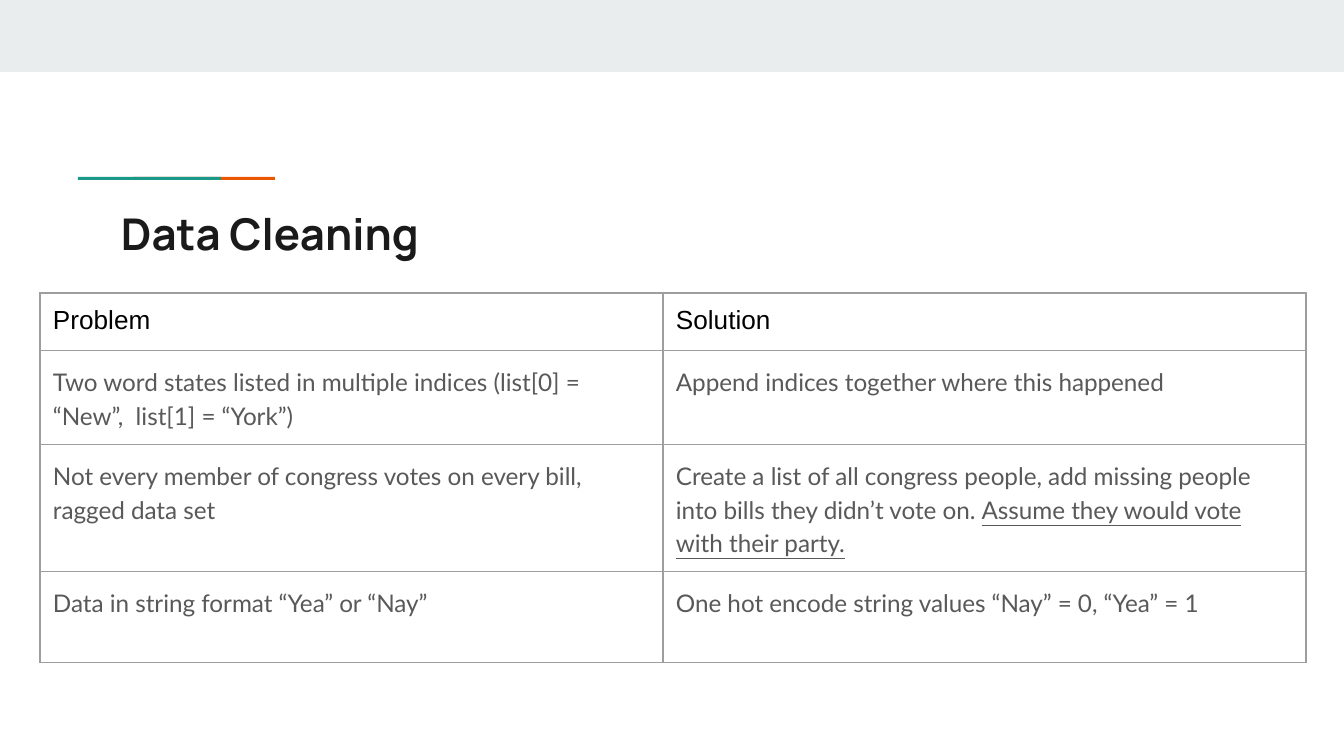
from lxml import etree
from pptx import Presentation
from pptx.dml.color import RGBColor
from pptx.enum.shapes import MSO_SHAPE
from pptx.enum.text import MSO_ANCHOR
from pptx.oxml.ns import qn
from pptx.util import Emu, Pt

INK = RGBColor(0x1A, 0x1A, 0x1A)
BLACK = RGBColor(0x00, 0x00, 0x00)
GRAY = RGBColor(0x59, 0x59, 0x59)
BORDER = RGBColor(0x9E, 0x9E, 0x9E)
BAND = RGBColor(0xE9, 0xED, 0xEE)
TEAL = RGBColor(0x1A, 0x99, 0x88)
ORANGE = RGBColor(0xEB, 0x56, 0x00)

W, H = 1344, 756
INSET = 13
TITLE = "Data Cleaning"
TITLE_BOX = (108, 194, 1130, 79)
# Back to front: the teal bar overlaps the orange one.
BARS = [
    ((0, 0, W, 72), BAND),
    ((133, 177, 142, 3), ORANGE),
    ((78, 177, 143, 3), TEAL),
]

# Each cell is a list of (text, underlined) runs.
HEADER = [[("Problem", False)], [("Solution", False)]]
BODY = [
    [[("Two word states listed in multiple indices (list[0] = “New”,  list[1] = “York”)", False)],
     [("Append indices together where this happened", False)]],
    [[("Not every member of congress votes on every bill, ragged data set", False)],
     [("Create a list of all congress people, add missing people into bills they didn’t vote on. ", False),
      ("Assume they would vote with their party.", True)]],
    [[("Data in string format “Yea” or “Nay”", False)],
     [("One hot encode string values “Nay” = 0, “Yea” = 1", False)]],
]
TABLE_LEFT, TABLE_TOP = 40, 293
COL_WIDTHS = [623, 643]
ROW_HEIGHTS = [56, 94, 127, 91]


def px(n):
    return Emu(round(n * 914400 / 134.4))


def add_run(p, text, font, size, color, bold=False, underline=False):
    r = p.add_run()
    r.text = text
    f = r.font
    f.name, f.size, f.bold = font, Pt(size), bold
    f.color.rgb = color
    if underline:
        f.underline = True


def add_bar(slide, box, color):
    sp = slide.shapes.add_shape(MSO_SHAPE.RECTANGLE, *map(px, box))
    sp.shadow.inherit = False
    sp.fill.solid()
    sp.fill.fore_color.rgb = color
    sp.line.fill.background()


def add_title(slide):
    tf = slide.shapes.add_textbox(*map(px, TITLE_BOX)).text_frame
    tf.word_wrap = True
    tf.vertical_anchor = MSO_ANCHOR.TOP
    tf.margin_left = tf.margin_right = tf.margin_top = tf.margin_bottom = px(INSET)
    add_run(tf.paragraphs[0], TITLE, "Manrope", 23.4, INK, bold=True)


def set_borders(cell):
    tc_pr = cell._tc.get_or_add_tcPr()
    for side in ("lnL", "lnR", "lnT", "lnB"):
        ln = etree.SubElement(tc_pr, qn(f"a:{side}"), w=str(Pt(0.75)))
        fill = etree.SubElement(ln, qn("a:solidFill"))
        etree.SubElement(fill, qn("a:srgbClr"), val=str(BORDER))


def fill_cell(cell, runs, is_header):
    set_borders(cell)
    cell.fill.background()
    cell.margin_left = cell.margin_right = cell.margin_top = cell.margin_bottom = px(INSET)
    p = cell.text_frame.paragraphs[0]
    if not is_header:
        p.line_spacing = 1.15
        p.space_after = Pt(12)
    style = ("Arial", 14, BLACK) if is_header else ("Lato", 13, GRAY)
    for text, underline in runs:
        add_run(p, text, *style, underline=underline)


def add_cleaning_table(slide):
    rows = [HEADER] + BODY
    box = (TABLE_LEFT, TABLE_TOP, sum(COL_WIDTHS), sum(ROW_HEIGHTS))
    table = slide.shapes.add_table(len(rows), len(HEADER), *map(px, box)).table
    table.first_row = table.horz_banding = False
    for col, width in zip(table.columns, COL_WIDTHS):
        col.width = px(width)
    for i, (row, height) in enumerate(zip(rows, ROW_HEIGHTS)):
        table.rows[i].height = px(height)
        for j, runs in enumerate(row):
            fill_cell(table.cell(i, j), runs, is_header=i == 0)


def main():
    prs = Presentation()
    prs.slide_width, prs.slide_height = px(W), px(H)
    slide = prs.slides.add_slide(prs.slide_layouts[6])
    for box, color in BARS:
        add_bar(slide, box, color)
    add_title(slide)
    add_cleaning_table(slide)
    prs.save("out.pptx")


if __name__ == "__main__":
    main()
